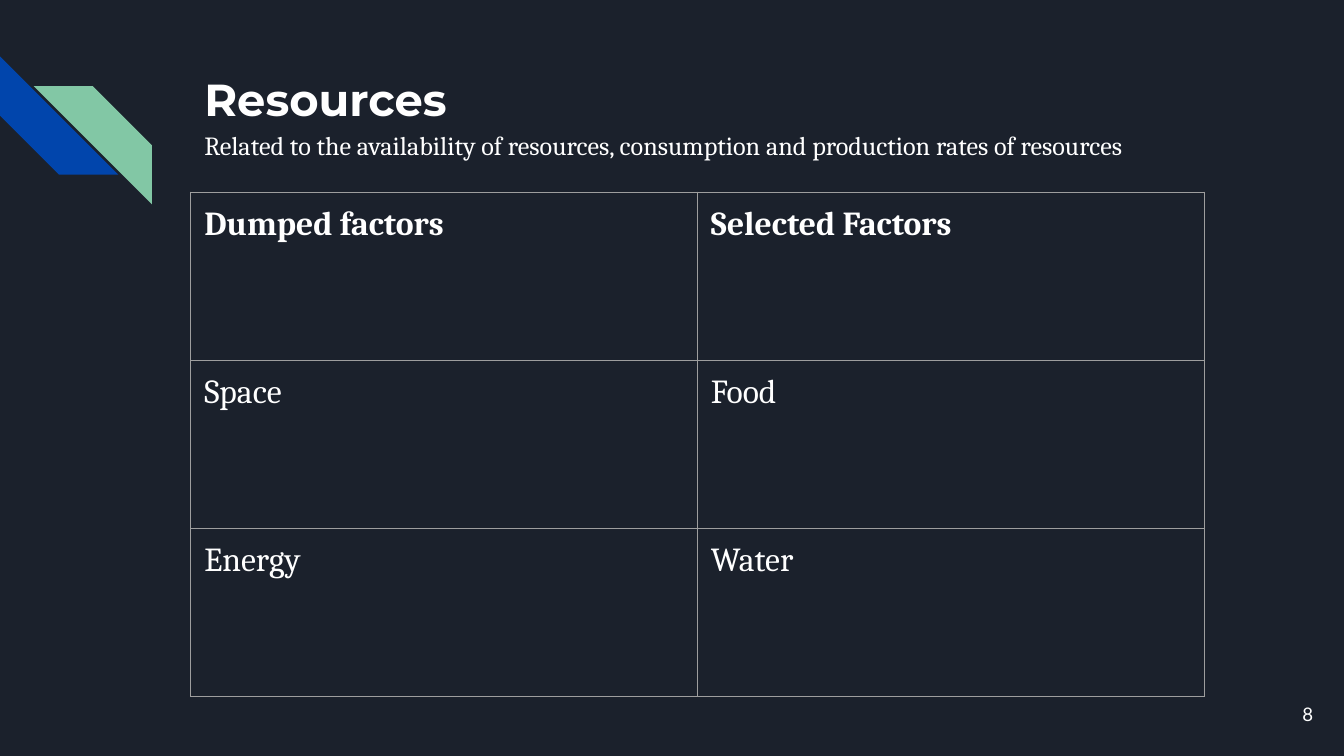
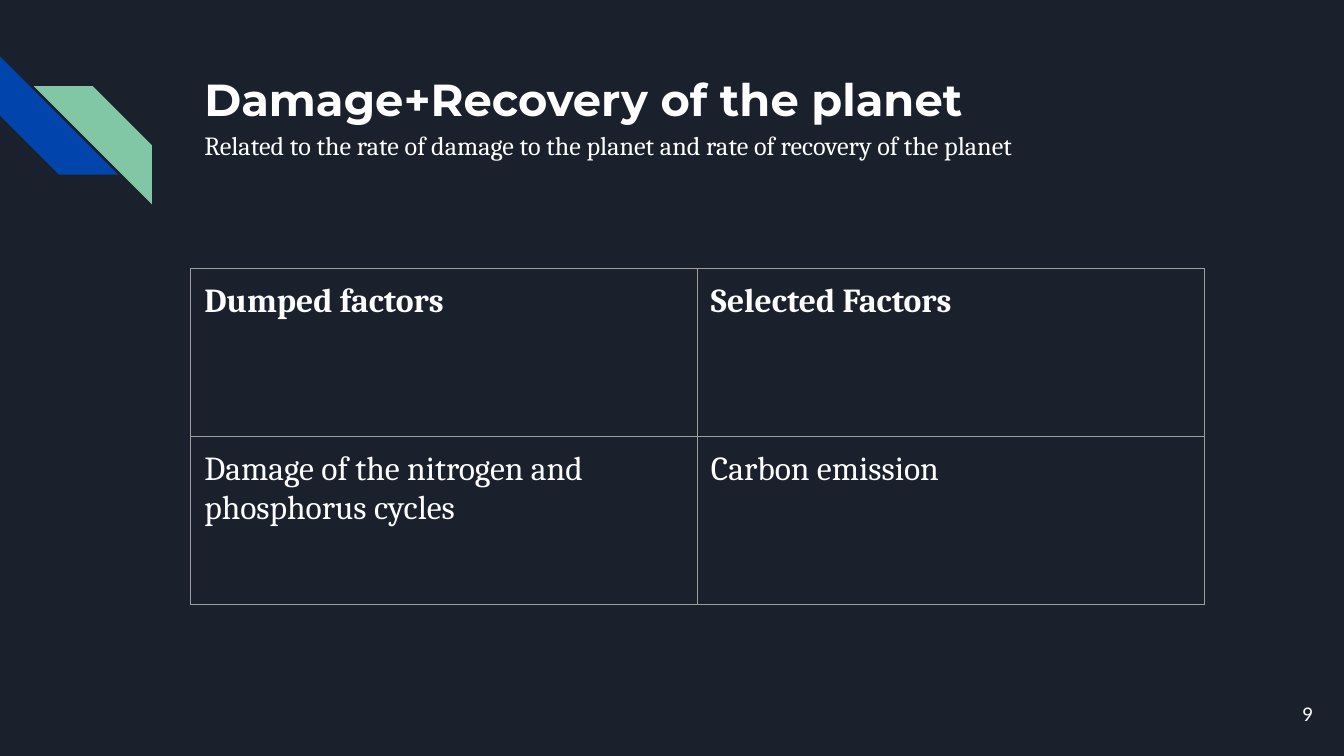
import dataclasses

import pptx
import pptx.dml.color
import pptx.enum.shapes
import pptx.enum.text
import pptx.oxml
import pptx.oxml.ns
import pptx.util

Inches = pptx.util.Inches
Pt = pptx.util.Pt
Align = pptx.enum.text.PP_ALIGN
Anchor = pptx.enum.text.MSO_ANCHOR


@dataclasses.dataclass(frozen=True)
class Theme:
    background: str = "1B212C"
    text: str = "FFFFFF"
    blue: str = "0145AC"
    green: str = "82C7A5"
    border: str = "9E9E9E"
    title_font: str = "Montserrat"
    body_font: str = "Cambria"
    number_font: str = "Lato"
    title_size: int = 24
    subtitle_size: int = 14
    cell_size: int = 18
    number_size: int = 10
    border_width: float = 0.75


theme = Theme()
page_width = 10
page_height = page_width * 9 / 16
content_left, content_top = 1.42, 0.43
column_width, row_height = 3.77, 1.25
stripe_size = 0.88
inset = Inches(0.1)


def add_span(para, text, font, size, bold=False):
    span = para.add_run()
    span.text = text
    span.font.name = font
    span.font.size = Pt(size)
    span.font.bold = bold
    span.font.color.rgb = pptx.dml.color.RGBColor.from_string(theme.text)


def prepare_frame(frame, anchor):
    frame.word_wrap = True
    frame.auto_size = pptx.enum.text.MSO_AUTO_SIZE.NONE
    frame.vertical_anchor = anchor
    frame.margin_left = frame.margin_right = inset
    frame.margin_top = frame.margin_bottom = inset


pages = [
    {
        "number": "8",
        "title": "Resources",
        "subtitle": "Related to the availability of resources, consumption and production rates of resources",
        "table_top": 1.43,
        "factors": [("Space", "Food"), ("Energy", "Water")],
    },
    {
        "number": "9",
        "title": "Damage+Recovery of the planet",
        "subtitle": "Related to the rate of damage to the planet and rate of recovery of the planet",
        "table_top": 2,
        "factors": [("Damage of the nitrogen and phosphorus cycles", "Carbon emission")],
    },
]
headings = ("Dumped factors", "Selected Factors")
stripes = [(0, 0.42, theme.blue, 270, False), (0.25, 0.64, theme.green, 0, True)]

deck = pptx.Presentation()
deck.slide_width = Inches(page_width)
deck.slide_height = Inches(page_height)
backdrop = deck.slide_master.background.fill
backdrop.solid()
backdrop.fore_color.rgb = pptx.dml.color.RGBColor.from_string(theme.background)

for content in pages:
    page = deck.slides.add_slide(deck.slide_layouts[5])

    for left, top, color, rotation, flipped in stripes:
        stripe = page.shapes.add_shape(
            pptx.enum.shapes.MSO_SHAPE.DIAGONAL_STRIPE,
            Inches(left), Inches(top), Inches(stripe_size), Inches(stripe_size),
        )
        stripe.shadow.inherit = False
        stripe.fill.solid()
        stripe.fill.fore_color.rgb = pptx.dml.color.RGBColor.from_string(color)
        stripe.line.fill.background()
        stripe.rotation = rotation
        if flipped:
            stripe._element.spPr.xfrm.set("flipH", "1")

    title = page.shapes.title
    title.left, title.top = Inches(content_left), Inches(content_top)
    title.width, title.height = Inches(7.7), Inches(1)
    prepare_frame(title.text_frame, Anchor.TOP)
    para = title.text_frame.paragraphs[0]
    para.alignment = Align.LEFT
    add_span(para, content["title"], theme.title_font, theme.title_size, True)
    para = title.text_frame.add_paragraph()
    para.alignment = Align.JUSTIFY
    para.line_spacing = 1.15
    add_span(para, content["subtitle"], theme.body_font, theme.subtitle_size)

    box = page.shapes.add_textbox(Inches(9.27), Inches(5.1), Inches(0.6), Inches(0.43))
    prepare_frame(box.text_frame, Anchor.MIDDLE)
    para = box.text_frame.paragraphs[0]
    para.alignment = Align.RIGHT
    add_span(para, content["number"], theme.number_font, theme.number_size)

    rows = [headings, *content["factors"]]
    table = page.shapes.add_table(
        len(rows), len(headings),
        Inches(content_left), Inches(content["table_top"]),
        Inches(column_width * len(headings)), Inches(row_height * len(rows)),
    ).table
    table.first_row = False
    table.horz_banding = False
    for row_index, row in enumerate(rows):
        for column_index, text in enumerate(row):
            cell = table.cell(row_index, column_index)
            cell.margin_left = cell.margin_right = inset
            cell.margin_top = cell.margin_bottom = inset
            cell.vertical_anchor = Anchor.TOP
            para = cell.text_frame.paragraphs[0]
            add_span(para, text, theme.body_font, theme.cell_size, row_index == 0)
            properties = cell._tc.get_or_add_tcPr()
            for side in ("lnL", "lnR", "lnT", "lnB"):
                properties.append(pptx.oxml.parse_xml(
                    f'<a:{side} {pptx.oxml.ns.nsdecls("a")} w="{Pt(theme.border_width)}">'
                    f'<a:solidFill><a:srgbClr val="{theme.border}"/></a:solidFill>'
                    f'</a:{side}>'
                ))
            cell.fill.background()

deck.save("out.pptx")
